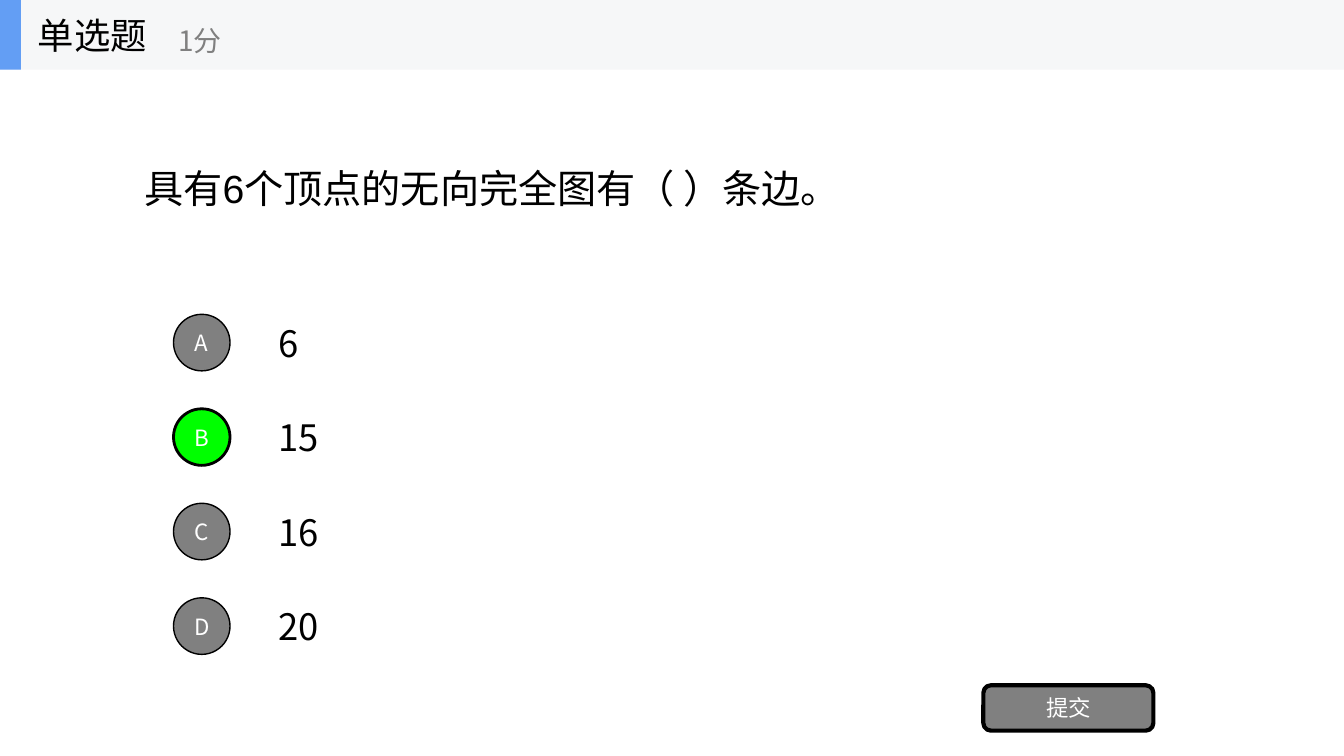
from dataclasses import dataclass

from lxml import etree
from pptx import Presentation
from pptx.dml.color import RGBColor
from pptx.enum import lang, shapes, text
from pptx.oxml import ns
from pptx.util import Pt


@dataclass(frozen=True)
class Theme:
    ink: str = "000000"
    muted: str = "808080"
    light: str = "FFFFFF"
    correct: str = "00FF00"
    band: str = "F6F7F8"
    accent: str = "639EF4"
    question_size: int = 28
    body_size: int = 26
    score_size: int = 20
    button_size: int = 16
    question_font: str = "Arial"
    font: str = "Noto Sans CJK SC"


THEME = Theme()
PAGE_WIDTH, PAGE_HEIGHT = 960.5, 540
HEADER_HEIGHT = 49.7
CENTER, LEFT = text.PP_ALIGN.CENTER, text.PP_ALIGN.LEFT
OPTIONS = [("A", "6"), ("B", "15"), ("C", "16"), ("D", "20")]
ANSWER = "B"
OPTION_TOP, OPTION_HEIGHT, OPTION_STEP = 219.5, 50.4, 67.5
BADGE_SIZE = 40.4


def write(box, words, size, color, align=LEFT, latin=THEME.font):
    frame = box.text_frame
    frame.text = words
    frame.word_wrap = True
    frame.auto_size = text.MSO_AUTO_SIZE.NONE
    frame.vertical_anchor = text.MSO_ANCHOR.MIDDLE
    para = frame.paragraphs[0]
    para.alignment = align
    for span in para.runs:
        font = span.font
        font.size = Pt(size)
        font.color.rgb = RGBColor.from_string(color)
        font.name = latin
        font.language_id = lang.MSO_LANGUAGE_ID.SIMPLIFIED_CHINESE
        east_asian = etree.SubElement(span._r.get_or_add_rPr(), ns.qn("a:ea"))
        east_asian.set("typeface", THEME.font)


def add_label(page, words, left, top, width, height, size, color):
    box = page.shapes.add_textbox(Pt(left), Pt(top), Pt(width), Pt(height))
    write(box, words, size, color)


def add_block(page, kind, left, top, width, height, fill, line_width=0):
    block = page.shapes.add_shape(kind, Pt(left), Pt(top), Pt(width), Pt(height))
    block.shadow.inherit = False
    block.fill.solid()
    block.fill.fore_color.rgb = RGBColor.from_string(fill)
    if line_width:
        block.line.width = Pt(line_width)
        block.line.color.rgb = RGBColor.from_string(THEME.ink)
    else:
        block.line.fill.background()
    return block


def add_button(page, kind, words, left, top, width, height, fill, line_width):
    button = add_block(page, kind, left, top, width, height, fill, line_width)
    write(button, words, THEME.button_size, THEME.light, CENTER)
    frame = button.text_frame
    frame.margin_left = frame.margin_right = 0
    frame.margin_top = frame.margin_bottom = 0


def add_header(page):
    rectangle = shapes.MSO_SHAPE.RECTANGLE
    add_block(page, rectangle, 0, 0, PAGE_WIDTH, HEADER_HEIGHT, THEME.band)
    add_block(page, rectangle, 0, 0, 15, HEADER_HEIGHT, THEME.accent)
    add_label(page, "单选题", 20, 0, 150, HEADER_HEIGHT, THEME.body_size, THEME.ink)
    add_label(page, "1分", 120.4, 8.8, 180, 40.4, THEME.score_size, THEME.muted)


def add_question(page, words):
    title = page.shapes.title
    title.left, title.top = Pt(96), Pt(HEADER_HEIGHT)
    title.width, title.height = Pt(768), Pt(168.5)
    write(title, words, THEME.question_size, THEME.ink, latin=THEME.question_font)


def add_option(page, index, letter, words):
    top = OPTION_TOP + index * OPTION_STEP
    is_answer = letter == ANSWER
    add_label(page, words, 192, top, 96.5, OPTION_HEIGHT, THEME.body_size, THEME.ink)
    add_button(page, shapes.MSO_SHAPE.OVAL, letter,
               124, top + (OPTION_HEIGHT - BADGE_SIZE) / 2, BADGE_SIZE, BADGE_SIZE,
               THEME.correct if is_answer else THEME.muted, 2 if is_answer else 1)


def main():
    deck = Presentation()
    deck.slide_width, deck.slide_height = Pt(PAGE_WIDTH), Pt(PAGE_HEIGHT)
    page = deck.slides.add_slide(deck.slide_layouts[5])
    add_question(page, "具有6个顶点的无向完全图有（ ）条边。")
    for index, (letter, words) in enumerate(OPTIONS):
        add_option(page, index, letter, words)
    add_button(page, shapes.MSO_SHAPE.ROUNDED_RECTANGLE, "提交",
               702.8, 489.5, 121.5, 32.4, THEME.muted, 3)
    add_header(page)
    deck.save("out.pptx")


if __name__ == "__main__":
    main()
